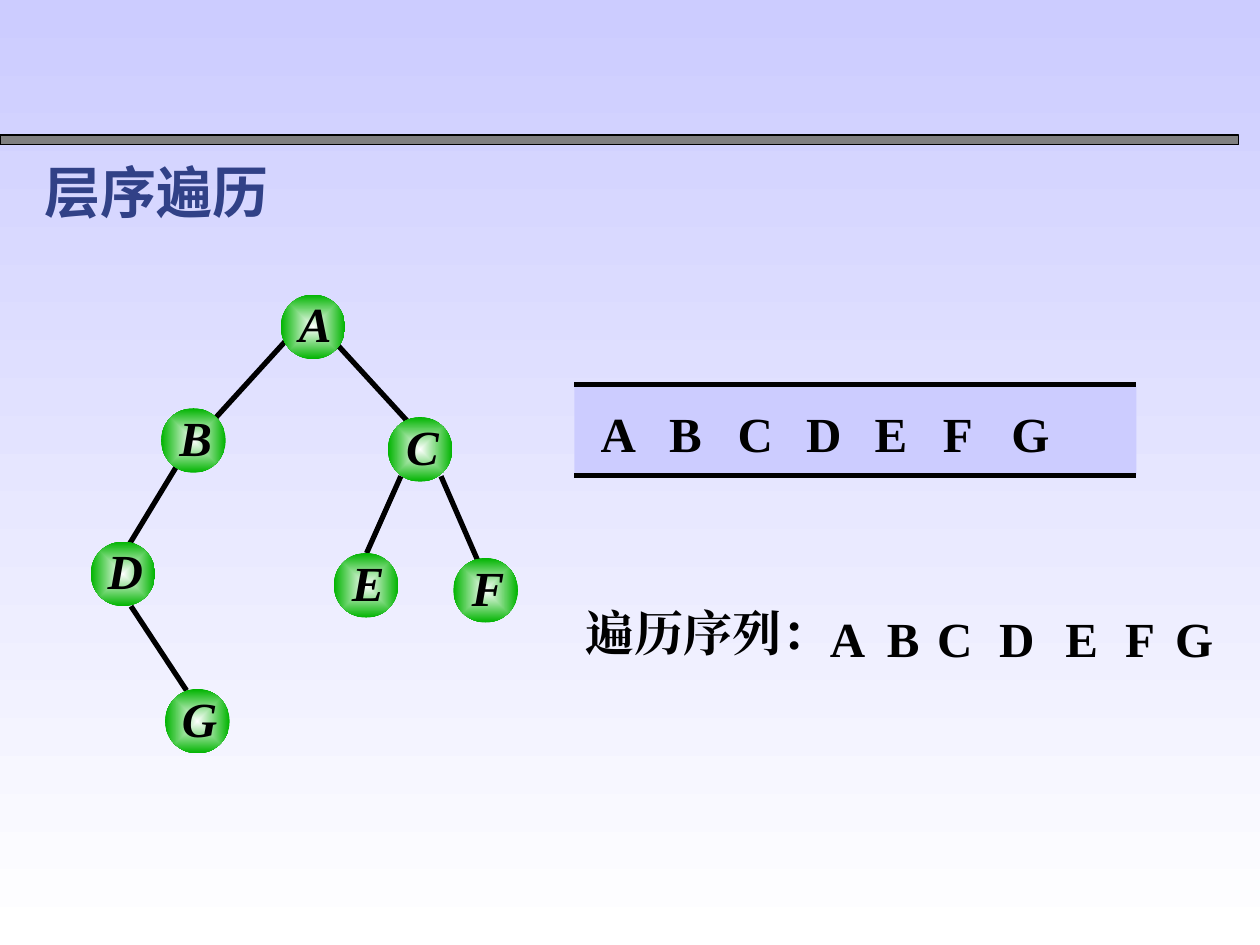
import pptx
import pptx.dml.color
import pptx.enum.lang
import pptx.enum.shapes
import pptx.enum.text
import pptx.oxml
import pptx.oxml.ns
import pptx.util
from pptx.util import Cm

RGBColor = pptx.dml.color.RGBColor
BLACK = RGBColor(0x00, 0x00, 0x00)
WHITE = RGBColor(0xFF, 0xFF, 0xFF)
GREY = RGBColor(0x80, 0x80, 0x80)
LAVENDER = RGBColor(0xCC, 0xCC, 0xFF)
NAVY = RGBColor(0x31, 0x41, 0x87)
GREEN = RGBColor(0x00, 0xB4, 0x00)

SERIF = "Times New Roman"
HAN = "Noto Sans CJK SC"
CHINESE = pptx.enum.lang.MSO_LANGUAGE_ID.SIMPLIFIED_CHINESE
SHAPES = pptx.enum.shapes.MSO_SHAPE
ALIGN = pptx.enum.text.PP_ALIGN
TEXT_INSETS = (0.25, 0.13, 0.25, 0.13)
NODE_INSETS = (0, 0.1, 0, 0)

TITLE_FORMAT = {"name": HAN, "size": pptx.util.Pt(32), "bold": True, "language_id": CHINESE}
LETTER_FORMAT = {"name": SERIF, "size": pptx.util.Pt(28), "bold": True}
LABEL_FORMAT = {**LETTER_FORMAT, "language_id": CHINESE}
NODE_FORMAT = {**LETTER_FORMAT, "italic": True}

NODE_SIZE = 1.3
NODES = {
    "A": (5.66, 5.94),
    "B": (3.25, 8.23),
    "C": (7.82, 8.41),
    "D": (1.83, 10.92),
    "E": (6.73, 11.15),
    "F": (9.14, 11.25),
    "G": (3.33, 13.89),
}
EDGES = [
    (5.77, 6.86, 4.34, 8.43),
    (6.81, 6.96, 8.23, 8.51),
    (3.56, 9.4, 2.62, 10.95),
    (2.64, 12.22, 3.76, 13.92),
    (8.08, 9.6, 7.39, 11.15),
    (8.89, 9.6, 9.63, 11.3),
]
QUEUE_LEFT, QUEUE_RIGHT = 11.58, 22.91
QUEUE_TOP, QUEUE_BOTTOM = 7.75, 9.58
QUEUE_LETTER_LEFT, QUEUE_LETTER_PITCH = 11.86, 1.38
RESULT_LEFTS = [16.48, 17.63, 18.64, 19.89, 21.23, 22.43, 23.44]


def set_gradient(fill, first, last):
    fill.gradient()
    for stop, color in zip(fill.gradient_stops, (first, last)):
        stop.color.rgb = color


def fill_text(box, text, font_format, color, insets=TEXT_INSETS, align=ALIGN.LEFT):
    frame = box.text_frame
    frame.word_wrap = True
    frame.auto_size = pptx.enum.text.MSO_AUTO_SIZE.NONE
    frame.vertical_anchor = pptx.enum.text.MSO_ANCHOR.TOP
    for side, inset in zip(("left", "top", "right", "bottom"), insets):
        setattr(frame, f"margin_{side}", Cm(inset))
    para = frame.paragraphs[0]
    para.alignment = align
    para.space_before = pptx.util.Pt(0)
    span = para.add_run()
    span.text = text
    for name, value in font_format.items():
        setattr(span.font, name, value)
    span.font.color.rgb = color
    east_asian = pptx.oxml.parse_xml(
        f'<a:ea {pptx.oxml.ns.nsdecls("a")} typeface="{font_format["name"]}"/>'
    )
    span.font._element.find(pptx.oxml.ns.qn("a:latin")).addnext(east_asian)


def add_text(shapes, text, left, top, width, height, font_format, **layout):
    box = shapes.add_textbox(Cm(left), Cm(top), Cm(width), Cm(height))
    fill_text(box, text, font_format, BLACK, **layout)


def add_title(page, text):
    title = page.shapes.title
    title.left, title.top = Cm(0.64), Cm(3.05)
    title.width, title.height = Cm(14.81), Cm(1.63)
    fill_text(title, text, TITLE_FORMAT, NAVY)


def add_plain_shape(shapes, kind, left, top, width, height):
    shape = shapes.add_shape(kind, Cm(left), Cm(top), Cm(width), Cm(height))
    shape.shadow.inherit = False
    shape.line.fill.background()
    return shape


def add_rectangle(shapes, left, top, width, height, color):
    shape = add_plain_shape(shapes, SHAPES.RECTANGLE, left, top, width, height)
    shape.fill.solid()
    shape.fill.fore_color.rgb = color
    return shape


def add_line(shapes, *ends):
    line = shapes.add_connector(
        pptx.enum.shapes.MSO_CONNECTOR.STRAIGHT, *(Cm(value) for value in ends)
    )
    line.line.color.rgb = BLACK
    line.line.width = pptx.util.Pt(3)
    line._element.spPr.append(
        pptx.oxml.parse_xml(f'<a:effectLst {pptx.oxml.ns.nsdecls("a")}/>')
    )


def add_node(shapes, letter, left, top):
    """Draw a ball that glows from its centre, with its letter on top."""
    ball = add_plain_shape(shapes, SHAPES.OVAL, left, top, NODE_SIZE, NODE_SIZE)
    set_gradient(ball.fill, WHITE, GREEN)
    linear = next(ball._element.spPr.iter(pptx.oxml.ns.qn("a:lin")))
    linear.getparent().replace(linear, pptx.oxml.parse_xml(
        f'<a:path {pptx.oxml.ns.nsdecls("a")} path="rect">'
        '<a:fillToRect l="50000" t="50000" r="50000" b="50000"/></a:path>'
    ))
    add_text(shapes, letter, left + 0.15, top - 0.12, 1.09, 1.7, NODE_FORMAT,
             insets=NODE_INSETS, align=ALIGN.CENTER)


def add_tree(page):
    tree = page.shapes.add_group_shape().shapes
    for edge in EDGES:
        add_line(tree, *edge)
    for letter, (left, top) in NODES.items():
        add_node(tree, letter, left, top)


def add_letters(page, lefts, top):
    for letter, left in zip(NODES, lefts):
        add_text(page.shapes, letter, left, top, 1.32, 1.45, LETTER_FORMAT)


def add_queue(page):
    add_rectangle(page.shapes, QUEUE_LEFT, 7.8, QUEUE_RIGHT - QUEUE_LEFT, 1.78, LAVENDER)
    for y in (QUEUE_TOP, QUEUE_BOTTOM):
        add_line(page.shapes, QUEUE_LEFT, y, QUEUE_RIGHT, y)
    lefts = [QUEUE_LETTER_LEFT + i * QUEUE_LETTER_PITCH for i in range(len(NODES))]
    add_letters(page, lefts, 8)


def main():
    deck = pptx.Presentation()
    deck.slide_width, deck.slide_height = Cm(25.4), Cm(19.05)
    page = deck.slides.add_slide(deck.slide_layouts[5])
    background = page.background.fill
    set_gradient(background, LAVENDER, WHITE)
    background.gradient_angle = 270

    bar = add_rectangle(page.shapes, 0, 2.72, 24.97, 0.2, GREY)
    bar.line.color.rgb = BLACK
    bar.line.width = pptx.util.Pt(0.75)
    add_title(page, "层序遍历")
    add_tree(page)
    add_queue(page)
    add_text(page.shapes, "遍历序列：", 11.56, 12.01, 12.55, 1.45, LABEL_FORMAT)
    add_letters(page, RESULT_LEFTS, 12.14)
    deck.save("out.pptx")


if __name__ == "__main__":
    main()
